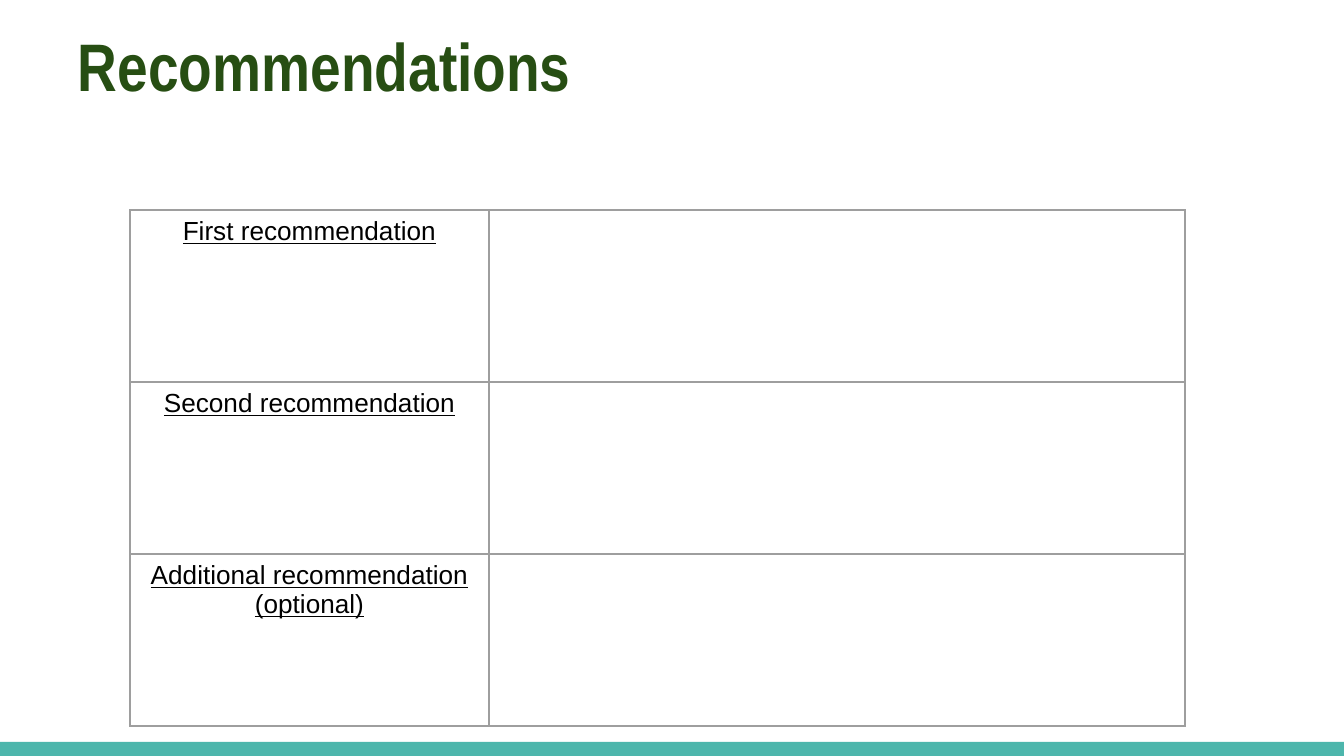
from lxml.etree import SubElement
from pptx import Presentation
from pptx.dml.color import RGBColor
from pptx.enum.shapes import MSO_SHAPE
from pptx.enum.text import PP_ALIGN
from pptx.oxml.ns import qn
from pptx.util import Pt

SCALE = 914400 / 134.4
TEAL = RGBColor(0x4D, 0xB6, 0xAC)
GREEN = RGBColor(0x27, 0x4E, 0x13)
BLACK = RGBColor(0, 0, 0)
GREY = RGBColor(0x9E, 0x9E, 0x9E)


def px(*nums):
    return [round(n * SCALE) for n in nums]


def write(frame, text, font="Arial", size=14, color=BLACK, bold=False,
          under=False, align=PP_ALIGN.LEFT):
    frame.word_wrap = True
    para = frame.paragraphs[0]
    para.alignment = align
    run = para.add_run()
    run.text = text
    run.font.name = font
    run.font.size = Pt(size)
    run.font.color.rgb = color
    run.font.bold = bold
    run.font.underline = under


deck = Presentation()
deck.slide_width, deck.slide_height = px(1344, 756)
slide = deck.slides.add_slide(deck.slide_layouts[6])

bar = slide.shapes.add_shape(MSO_SHAPE.RECTANGLE, *px(0, 742, 1344, 14))
bar.shadow.inherit = False
bar.fill.solid()
bar.fill.fore_color.rgb = TEAL
bar.line.fill.background()

title = slide.shapes.add_textbox(*px(65, 11, 1252, 103)).text_frame
title.margin_left, title.margin_top, title.margin_right, title.margin_bottom = px(13, 13, 13, 13)
write(title, "Recommendations", font="Arial Narrow", size=36, color=GREEN, bold=True)

labels = ["First recommendation", "Second recommendation",
          "Additional recommendation (optional)"]
table = slide.shapes.add_table(len(labels), 2, *px(130, 210, 1055, 516)).table
table.first_row = False
table.horz_banding = False
for col, width in zip(table.columns, px(359, 696)):
    col.width = width
for row, label in zip(table.rows, labels):
    row.height = px(172)[0]
    write(row.cells[0].text_frame, label, under=True, align=PP_ALIGN.CENTER)

for cell in table.iter_cells():
    props = cell._tc.get_or_add_tcPr()
    for side in ("lnL", "lnR", "lnT", "lnB"):
        line = SubElement(props, qn("a:" + side), w=str(Pt(0.74)))
        fill = SubElement(line, qn("a:solidFill"))
        SubElement(fill, qn("a:srgbClr"), val=str(GREY))
    cell.fill.background()

deck.save("out.pptx")
